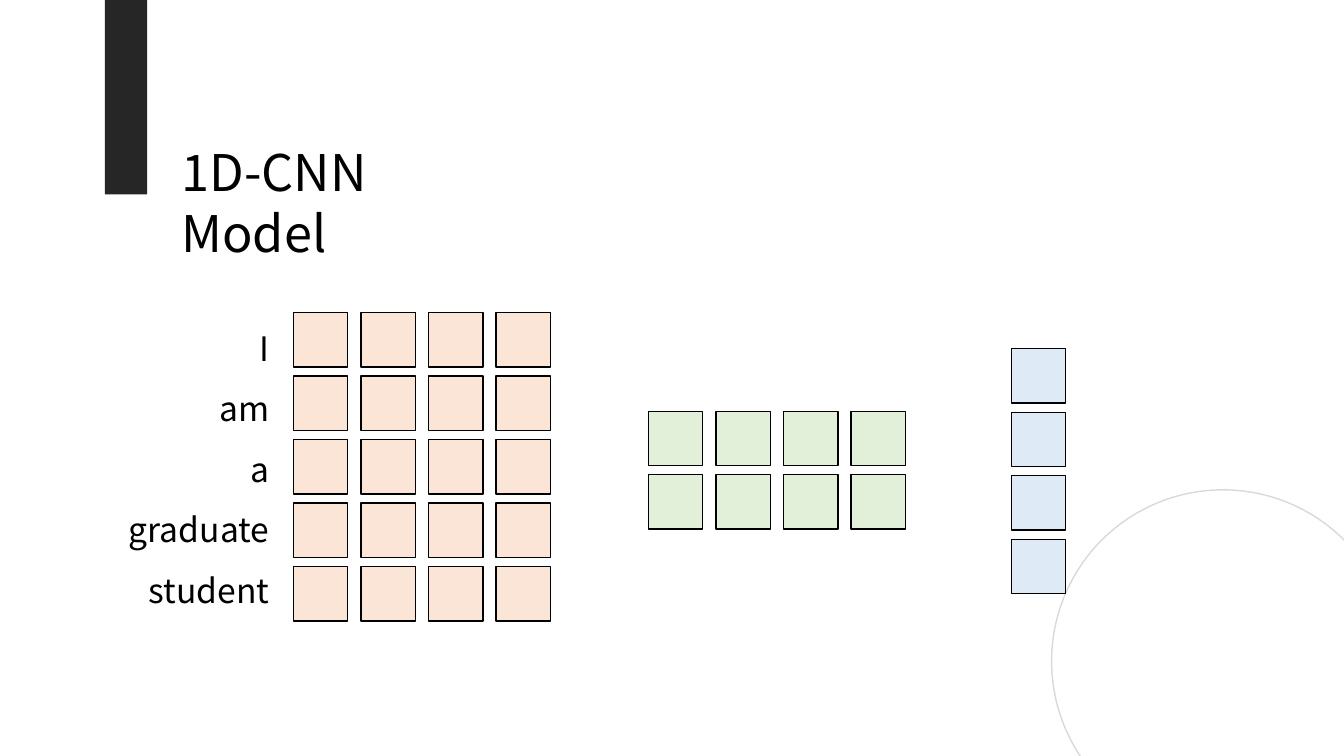
from pptx import Presentation
from pptx.dml.color import RGBColor
from pptx.enum.shapes import MSO_SHAPE as Shape
from pptx.enum.text import MSO_ANCHOR as Anchor, MSO_AUTO_SIZE as AutoSize, PP_ALIGN as Align
from pptx.util import Inches, Pt

BLACK = RGBColor(0x00, 0x00, 0x00)
CHARCOAL = RGBColor(0x26, 0x26, 0x26)
GRAY = RGBColor(0xD9, 0xD9, 0xD9)
PEACH = RGBColor(0xFB, 0xE5, 0xD6)
GREEN = RGBColor(0xE2, 0xF0, 0xD9)
BLUE = RGBColor(0xDE, 0xEB, 0xF7)

CELL = 0.54
COLUMN_STEP = 0.67
ROW_STEP = 0.63

WORDS = ["I", "am", "a", "graduate", "student"]

# left, top, rows, columns, fill
GRIDS = [
    (2.91, 3.1, len(WORDS), 4, PEACH),
    (6.43, 4.08, 2, 4, GREEN),
    (10.03, 3.46, 4, 1, BLUE),
]


def set_values(target, values):
    for name, value in values.items():
        setattr(target, name, value)


def add_figure(page, kind, left, top, width, height, fill=None, line=None):
    figure = page.shapes.add_shape(
        kind, Inches(left), Inches(top), Inches(width), Inches(height))
    figure.shadow.inherit = False
    if fill is None:
        figure.fill.background()
    else:
        figure.fill.solid()
        figure.fill.fore_color.rgb = fill
    if line is None:
        figure.line.fill.background()
    else:
        figure.line.color.rgb = line
        figure.line.width = Pt(1)


def add_grid(page, left, top, rows, columns, fill):
    for row in range(rows):
        for column in range(columns):
            add_figure(page, Shape.RECTANGLE, left + column * COLUMN_STEP,
                       top + row * ROW_STEP, CELL, CELL, fill, BLACK)


def write_lines(box, lines, font, para_format):
    frame = box.text_frame
    set_values(frame, {"word_wrap": True, "auto_size": AutoSize.NONE,
                       "vertical_anchor": Anchor.TOP})
    frame.text = "\n".join(lines)
    for para in frame.paragraphs:
        set_values(para, para_format)
        set_values(para.font, font)
        para.font.color.rgb = BLACK


def add_title(page, text):
    title = page.shapes.title
    set_values(title, {"left": Inches(1.7), "top": Inches(1.35),
                       "width": Inches(3.04), "height": Inches(1.31)})
    write_lines(title, [text], {"name": "Noto Sans CJK JP", "size": Pt(36)},
                {"alignment": Align.LEFT, "line_spacing": 1.0})


def add_word_labels(page):
    box = page.shapes.add_textbox(
        Inches(1.05), Inches(3), Inches(1.72), Inches(3.13))
    write_lines(box, WORDS, {"name": "Noto Sans CJK KR", "size": Pt(24)},
                {"alignment": Align.RIGHT, "line_spacing": 1.5})


def main():
    deck = Presentation()
    set_values(deck, {"slide_width": Inches(13.33), "slide_height": Inches(7.5)})
    page = deck.slides.add_slide(deck.slide_layouts[5])

    # Decoration
    add_figure(page, Shape.OVAL, 10.43, 4.86, 3.4, 3.4, line=GRAY)
    add_figure(page, Shape.RECTANGLE, 1.04, 0, 0.42, 1.93, fill=CHARCOAL)

    # Title and input words
    add_title(page, "1D-CNN Model")
    add_word_labels(page)

    # Embedding, kernel and output cells
    for grid in GRIDS:
        add_grid(page, *grid)

    deck.save("out.pptx")


if __name__ == "__main__":
    main()
